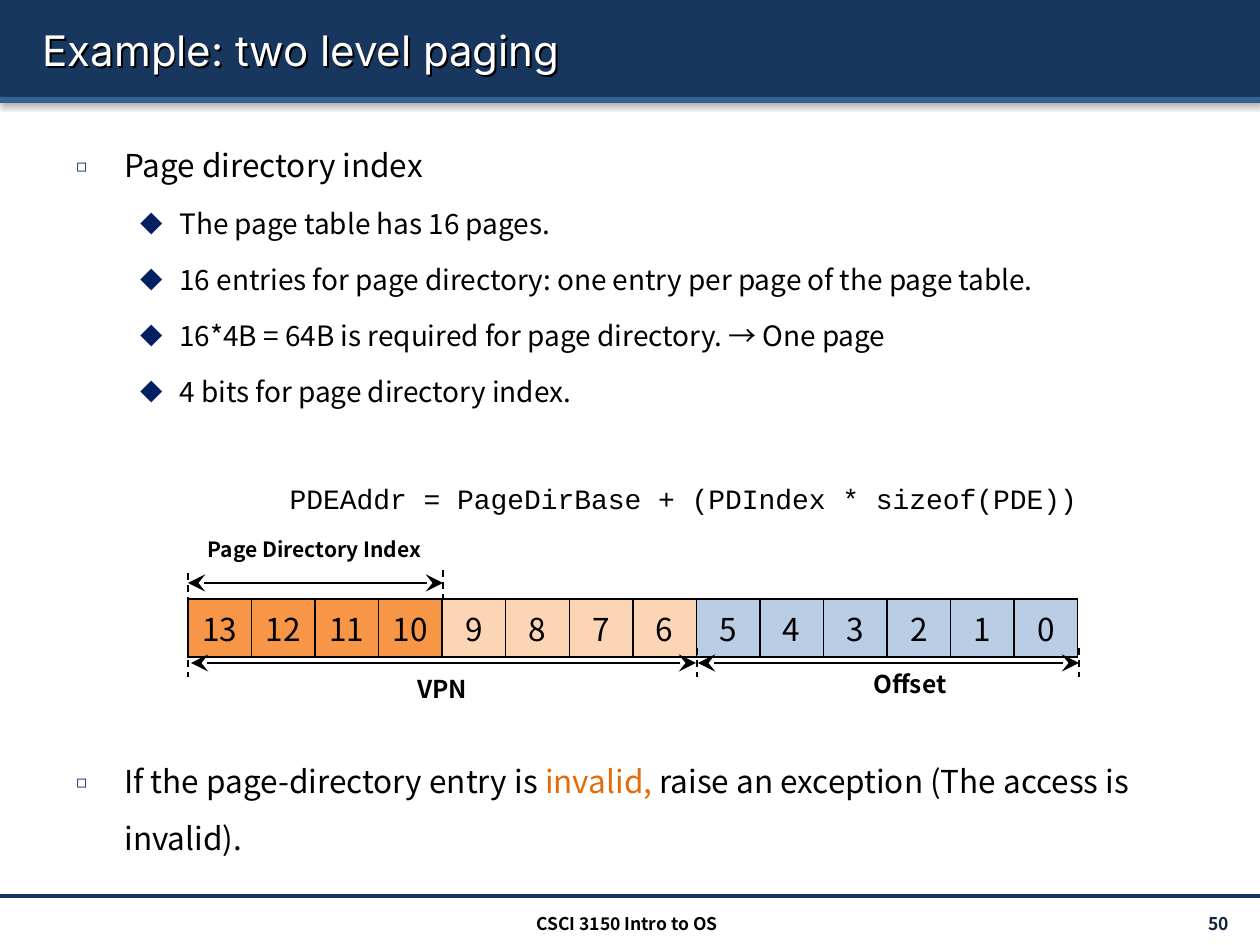
from dataclasses import dataclass

from lxml.etree import SubElement
from pptx import Presentation
from pptx.dml.color import RGBColor
from pptx.enum.dml import MSO_LINE
from pptx.enum.shapes import MSO_CONNECTOR, MSO_SHAPE
from pptx.enum.text import MSO_ANCHOR as Anchor, PP_ALIGN as Align
from pptx.oxml.ns import qn
from pptx.util import Pt

EMU_PER_PX = 914400 / 126
BODY_FONT = "Noto Sans CJK KR"
COLORS = {
    "navy": "17375E", "stripe": "376092", "bullet": "002060", "number": "0F243E",
    "black": "000000", "white": "FFFFFF", "invalid": "E46C0A",
    "directory": "F79646", "vpn": "FCD5B5", "offset": "B9CDE5",
}


@dataclass(frozen=True)
class Label:
    text: str
    left: int
    top: int
    width: int
    height: int
    size: int
    align: Align = Align.CENTER
    color: str = "black"
    font: str = BODY_FONT
    bold: bool = True


@dataclass(frozen=True)
class Line:
    x1: int
    y1: int
    x2: int
    y2: int
    dashed: bool = False
    arrows: bool = False
    color: str = "black"
    weight: int = 1


@dataclass(frozen=True)
class BulletStyle:
    symbol: str
    symbol_percent: int
    size: int
    margin: int
    hanging: int
    space_before: float


BULLET_STYLES = [
    BulletStyle("◻", 55, 18, 48, 48, 3.6),
    BulletStyle("◆", 80, 16, 103, 39, 3.2),
]
DIRECTORY_BULLETS = [
    (0, [("Page directory index", "black")]),
    (1, [("The page table has 16 pages.", "black")]),
    (1, [("16 entries for page directory: one entry per page of the page table.", "black")]),
    (1, [("16*4B = 64B is required for page directory. → One page", "black")]),
    (1, [("4 bits for page directory index.", "black")]),
]
INVALID_BULLETS = [
    (0, [("If the page-directory entry is ", "black"), ("invalid, ", "invalid"),
         ("raise an exception (The access is invalid).", "black")]),
]
LABELS = [
    Label("PDEAddr = PageDirBase + (PDIndex * sizeof(PDE))", 127, 478, 1113, 40, 16,
          font="Courier New", bold=False),
    Label("Page Directory Index", 195, 530, 239, 38, 12),
    Label("VPN", 404, 667, 77, 43, 14),
    Label("Offset", 861, 662, 98, 43, 14),
    Label("CSCI 3150 Intro to OS", 418, 908, 418, 30, 10),
    Label("50", 1097, 908, 144, 30, 10, Align.RIGHT, "number"),
]
LINES = [
    Line(0, 896, 1260, 896, color="navy", weight=2),
    Line(188, 573, 188, 602, dashed=True),
    Line(443, 570, 443, 599, dashed=True),
    Line(188, 583, 443, 583, arrows=True),
    *[Line(x, 648, x, 677, dashed=True) for x in (188, 697, 1079)],
    Line(191, 663, 696, 663, arrows=True),
    Line(698, 663, 1079, 663, arrows=True),
]
BIT_FIELDS = [("directory", 4), ("vpn", 4), ("offset", 6)]


def px(*lengths: int) -> list[int]:
    return [round(length * EMU_PER_PX) for length in lengths]


def rgb(name: str) -> RGBColor:
    return RGBColor.from_string(COLORS[name])


def add_child(parent, tag: str, **attributes):
    return SubElement(parent, qn(tag), {key: str(value) for key, value in attributes.items()})


def add_shadow(shape, blur: float, distance: float, degrees: int, opacity: int) -> None:
    effects = add_child(shape._element.spPr, "a:effectLst")
    shadow = add_child(effects, "a:outerShdw", blurRad=Pt(blur), dist=Pt(distance),
                       dir=degrees * 60000, rotWithShape=0)
    color = add_child(shadow, "a:srgbClr", val=COLORS["black"])
    add_child(color, "a:alpha", val=opacity * 1000)


def set_font(font, name: str, size: int, color: str, bold: bool = False) -> None:
    font.name, font.size, font.bold = name, Pt(size), bold
    font.color.rgb = rgb(color)


def add_band(slide, top: int, height: int, color: str) -> None:
    band = slide.shapes.add_shape(MSO_SHAPE.RECTANGLE, *px(0, top, 1260, height))
    band.fill.solid()
    band.fill.fore_color.rgb = rgb(color)
    band.line.fill.background()
    add_shadow(band, 3.1, 1.6, 90, 38)


def format_title(slide, text: str) -> None:
    """Fill the title placeholder and bring it in front of the header bands."""
    title = slide.shapes.title
    title.left, title.top, title.width, title.height = px(30, 9, 1210, 81)
    frame = title.text_frame
    frame.text = text
    frame.vertical_anchor = Anchor.MIDDLE
    paragraph = frame.paragraphs[0]
    paragraph.alignment = Align.LEFT
    set_font(paragraph.font, "Inter", 24, "white")
    title.fill.background()
    add_shadow(title, 0, 1.5, 45, 100)
    title._element.getparent().append(title._element)


def add_bullets(slide, top: int, height: int, items: list) -> None:
    frame = slide.shapes.add_textbox(*px(64, top, 1176, height)).text_frame
    frame.word_wrap = True
    for index, (level, runs) in enumerate(items):
        style = BULLET_STYLES[level]
        paragraph = frame.add_paragraph() if index else frame.paragraphs[0]
        paragraph.level = level
        paragraph.line_spacing = 1.5
        paragraph.space_before = Pt(style.space_before)
        paragraph.font.name, paragraph.font.size = BODY_FONT, Pt(style.size)
        properties = paragraph._p.get_or_add_pPr()
        margin, hanging = px(style.margin, style.hanging)
        properties.set("marL", str(margin))
        properties.set("indent", str(-hanging))
        bullet_color = add_child(properties, "a:buClr")
        add_child(bullet_color, "a:srgbClr", val=COLORS["bullet"])
        add_child(properties, "a:buSzPct", val=style.symbol_percent * 1000)
        add_child(properties, "a:buFont", typeface=BODY_FONT)
        add_child(properties, "a:buChar", char=style.symbol)
        properties.append(properties.find(qn("a:defRPr")))
        for text, color in runs:
            run = paragraph.add_run()
            run.text = text
            set_font(run.font, BODY_FONT, style.size, color)


def add_label(slide, label: Label) -> None:
    box = slide.shapes.add_textbox(*px(label.left, label.top, label.width, label.height))
    frame = box.text_frame
    frame.word_wrap = False
    frame.vertical_anchor = Anchor.MIDDLE
    paragraph = frame.paragraphs[0]
    paragraph.text = label.text
    paragraph.alignment = label.align
    set_font(paragraph.font, label.font, label.size, label.color, label.bold)


def add_line(slide, line: Line) -> None:
    connector = slide.shapes.add_connector(
        MSO_CONNECTOR.STRAIGHT, *px(line.x1, line.y1, line.x2, line.y2))
    connector.line.color.rgb = rgb(line.color)
    connector.line.width = Pt(line.weight)
    if line.dashed:
        connector.line.dash_style = MSO_LINE.DASH
    if line.arrows:
        for tag in ("a:headEnd", "a:tailEnd"):
            add_child(connector.line._get_or_add_ln(), tag, type="stealth", w="lg", len="lg")
    add_child(connector._element.spPr, "a:effectLst")


def add_address_table(slide) -> None:
    """Draw the address bits, highest first, coloured by field."""
    fields = [name for name, bits in BIT_FIELDS for _ in range(bits)]
    count = len(fields)
    table = slide.shapes.add_table(1, count, *px(188, 599, 890, 58)).table
    for column, color in enumerate(fields):
        cell = table.cell(0, column)
        for side in ("L", "R", "T", "B"):
            border = add_child(cell._tc.get_or_add_tcPr(), f"a:ln{side}", w=Pt(1))
            add_child(add_child(border, "a:solidFill"), "a:srgbClr", val=COLORS["black"])
        cell.fill.solid()
        cell.fill.fore_color.rgb = rgb(color)
        paragraph = cell.text_frame.paragraphs[0]
        paragraph.text = str(count - 1 - column)
        paragraph.alignment = Align.CENTER
        set_font(paragraph.font, BODY_FONT, 18, "black")


def main() -> None:
    presentation = Presentation()
    presentation.slide_width, presentation.slide_height = px(1260, 945)
    slide = presentation.slides.add_slide(presentation.slide_layouts[5])
    add_band(slide, 0, 97, "navy")
    add_band(slide, 97, 6, "stripe")
    format_title(slide, "Example: two level paging")
    add_bullets(slide, 121, 310, DIRECTORY_BULLETS)
    add_bullets(slide, 737, 142, INVALID_BULLETS)
    add_address_table(slide)
    for label in LABELS:
        add_label(slide, label)
    for line in LINES:
        add_line(slide, line)
    presentation.save("out.pptx")


if __name__ == "__main__":
    main()
